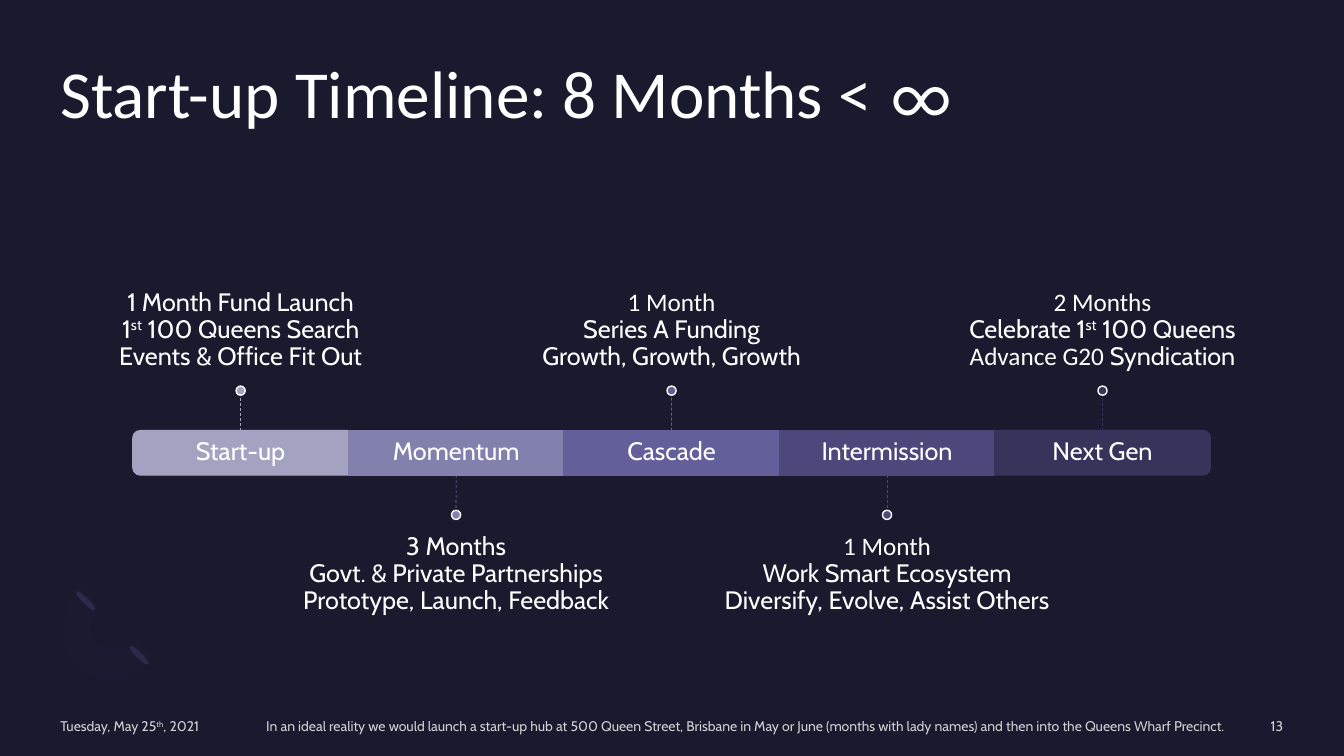
from lxml.etree import SubElement
from pptx import Presentation
from pptx.dml.color import RGBColor
from pptx.enum.dml import MSO_LINE
from pptx.enum.shapes import MSO_CONNECTOR, MSO_SHAPE
from pptx.enum.text import MSO_ANCHOR, PP_ALIGN
from pptx.oxml.ns import qn
from pptx.util import Cm, Pt


def rgb(value):
    return RGBColor.from_string(value)


def add_text(box, runs, size, align=PP_ALIGN.LEFT, anchor=MSO_ANCHOR.TOP,
             margins=(0, 0, 0, 0), spacing=1.0, alpha=None):
    tf = s.shapes.add_textbox(*[Cm(v) for v in box]).text_frame
    tf.word_wrap = True
    tf.vertical_anchor = anchor
    tf.margin_left, tf.margin_top, tf.margin_right, tf.margin_bottom = [Cm(m) for m in margins]
    p = tf.paragraphs[0]
    p.alignment = align
    p.line_spacing = spacing
    for text, font, *baseline in runs:
        for i, line in enumerate(text.split("\n")):
            if i:
                p.add_line_break()
            if not line:
                continue
            r = p.add_run()
            r.text = line
            r.font.name = font
            r.font.size = Pt(size)
            r.font.color.rgb = rgb("FFFFFF")
            if baseline:
                r.font._element.set("baseline", str(baseline[0]))
            if alpha:
                color = r.font._element.find(".//" + qn("a:srgbClr"))
                SubElement(color, qn("a:alpha")).set("val", str(alpha))


prs = Presentation()
prs.slide_width, prs.slide_height = Cm(33.87), Cm(19.05)
s = prs.slides.add_slide(prs.slide_layouts[6])
s.background.fill.solid()
s.background.fill.fore_color.rgb = rgb("1B192E")

for left, top in [(3.43, 16.18), (2.08, 14.81)]:
    petal = s.shapes.add_shape(MSO_SHAPE.OVAL, Cm(left), Cm(top), Cm(0.15), Cm(0.66))
    petal.rotation = 135
    petal.shadow.inherit = False
    petal.fill.solid()
    petal.fill.fore_color.rgb = rgb("2C284A")
    petal.line.fill.background()

outer_start = [(1.93, 16.74), (1.42, 16.23), (1.47, 15.37), (2.06, 14.78)]
inner_start = [(2.51, 15.24), (2.21, 15.52), (2.18, 15.98), (2.44, 16.21)]
inner_end = [(2.44, 16.21), (2.69, 16.46), (3.12, 16.43), (3.43, 16.15)]
outer_end = [(3.86, 16.61), (3.3, 17.17), (2.41, 17.25), (1.93, 16.74)]
points = []
for curve in (outer_start, inner_start, inner_end, outer_end):
    for step in range(13):
        t = step / 12
        weights = ((1 - t) ** 3, 3 * t * (1 - t) ** 2, 3 * t ** 2 * (1 - t), t ** 3)
        points.append(tuple(Cm(sum(w * pt[axis] for w, pt in zip(weights, curve)))
                            for axis in (0, 1)))
builder = s.shapes.build_freeform(*points[0], scale=1.0)
builder.add_line_segments(points[1:], close=True)
crescent = builder.convert_to_shape()
crescent.shadow.inherit = False
crescent.fill.solid()
crescent.fill.fore_color.rgb = rgb("7771B2")
crescent.line.fill.background()
crescent_color = crescent._element.spPr.find(qn("a:solidFill")).find(qn("a:srgbClr"))
SubElement(crescent_color, qn("a:alpha")).set("val", "2000")

add_text((1.52, 1.52, 30.81, 3.71),
         [("Start-up Timeline: 8 Months < ", "Calibri"), ("∞", "TeX Gyre Adventor")],
         48, spacing=0.9)

stages = [
    ("Start-up", "A3A3C1", [("1 Month Fund Launch\n1", "Cabin"), ("st", "Cabin", 30000),
                            (" 100 Queens Search\nEvents & Office Fit Out", "Cabin")]),
    ("Momentum", "8281AE", [("3 Months\nGovt. & Private Partnerships\n"
                             "Prototype, Launch, Feedback", "Cabin")]),
    ("Cascade", "625F9A", [("1 Month\n", "Calibri"),
                           ("Series A Funding\nGrowth, Growth, Growth", "Cabin")]),
    ("Intermission", "4C487B", [("1 Month\n", "Calibri"),
                                ("Work Smart Ecosystem\nDiversify, Evolve, Assist Others",
                                 "Cabin")]),
    ("Next Gen", "37335B", [("2 Months\n", "Calibri"), ("Celebrate 1", "Cabin"),
                            ("st", "Cabin", 30000), (" 100 Queens\n", "Cabin"),
                            ("Advance G20", "Calibri"), (" Syndication", "Cabin")]),
]
bar_left, bar_top, bar_w, bar_h = 3.35, 10.85, 5.43, 1.12
stem, dot, note_w, note_h = 0.89, 0.23, 9.07, 3.86
rotations = {0: 270, len(stages) - 1: 90}

for i, (name, color, note) in enumerate(stages):
    left = bar_left + i * bar_w
    center = left + bar_w / 2
    above = i % 2 == 0
    if i in rotations:
        bar = s.shapes.add_shape(MSO_SHAPE.ROUND_2_SAME_RECTANGLE, Cm(center - bar_h / 2),
                                 Cm(bar_top + bar_h / 2 - bar_w / 2), Cm(bar_h), Cm(bar_w))
        bar.rotation = rotations[i]
    else:
        bar = s.shapes.add_shape(MSO_SHAPE.RECTANGLE, Cm(left), Cm(bar_top),
                                 Cm(bar_w), Cm(bar_h))

    edge = bar_top if above else bar_top + bar_h
    tip = edge - stem if above else edge + stem
    line = s.shapes.add_connector(MSO_CONNECTOR.STRAIGHT, Cm(center), Cm(edge),
                                  Cm(center), Cm(tip))
    if i not in rotations:
        line.begin_connect(bar, 0 if above else 2)
    line.line.color.rgb = rgb(color)
    line.line.width = Pt(0.5)
    line.line.dash_style = MSO_LINE.DASH
    SubElement(line._element.spPr, qn("a:effectLst"))

    marker = s.shapes.add_shape(MSO_SHAPE.OVAL, Cm(center - dot / 2),
                                Cm(tip - dot if above else tip), Cm(dot), Cm(dot))
    for sp, outline in ((bar, color), (marker, "FFFFFF")):
        sp.shadow.inherit = False
        sp.fill.solid()
        sp.fill.fore_color.rgb = rgb(color)
        sp.line.color.rgb = rgb(outline)
        sp.line.width = Pt(1)

    add_text((left, bar_top, bar_w, bar_h), [(name, "Cabin")], 18, PP_ALIGN.CENTER,
             MSO_ANCHOR.MIDDLE, (0.38, 0.38, 0.38, 0.38), 0.9)
    add_text((center - note_w / 2, 5.87 if above else 13.06, note_w, note_h), note, 18,
             PP_ALIGN.CENTER, MSO_ANCHOR.BOTTOM if above else MSO_ANCHOR.TOP,
             (0, 0, 0, 0.38) if above else (0, 0.38, 0, 0), 0.9)

footers = [
    (6.71, 24.43, PP_ALIGN.LEFT,
     [("In an ideal reality we would launch a start-up hub at 500 Queen Street, Brisbane in May "
       "or June (months with lady names) and then into the Queens Wharf Precinct.", "Cabin")]),
    (27.64, 4.7, PP_ALIGN.RIGHT, [("13", "Cabin")]),
    (1.52, 7.32, PP_ALIGN.LEFT,
     [("Tuesday, May 25", "Cabin"), ("th", "Cabin", 30000), (", 2021", "Cabin")]),
]
for left, width, align, runs in footers:
    add_text((left, 18.08, width, 0.43), runs, 10, align, MSO_ANCHOR.MIDDLE, alpha=80000)

prs.save("out.pptx")
